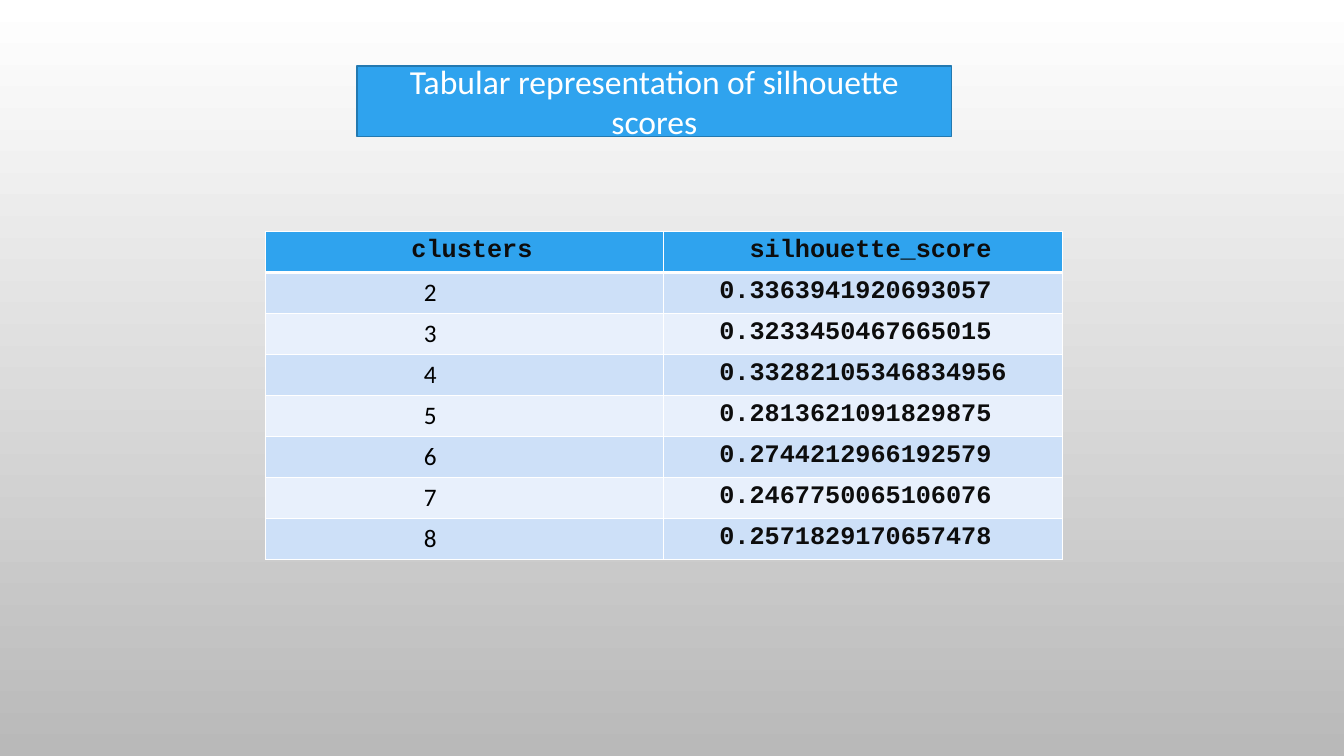
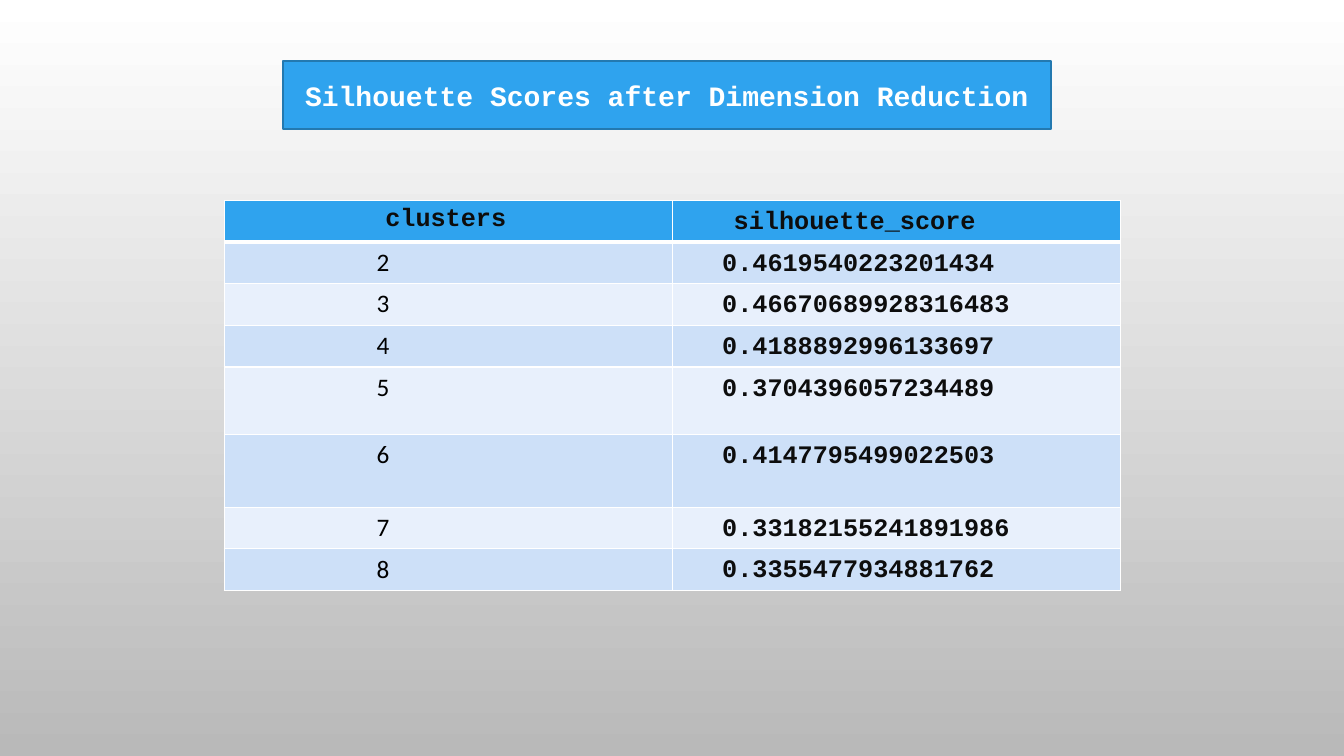
from dataclasses import dataclass

from lxml import etree
from pptx import Presentation
from pptx.dml.color import RGBColor
from pptx.enum.text import MSO_ANCHOR, MSO_AUTO_SIZE, PP_ALIGN
from pptx.oxml.ns import qn
from pptx.util import Cm, Pt

MIDDLE = MSO_ANCHOR.MIDDLE
NO_AUTOFIT = MSO_AUTO_SIZE.NONE
CENTER = PP_ALIGN.CENTER

# Shared colours and fonts
WHITE = RGBColor(0xFF, 0xFF, 0xFF)
BLACK = RGBColor(0x00, 0x00, 0x00)
INK = RGBColor(0x0D, 0x0D, 0x0D)
GREY = RGBColor(0xB9, 0xB9, 0xB9)
BLUE = RGBColor(0x2F, 0xA3, 0xEE)
DARK_BLUE = RGBColor(0x23, 0x79, 0xB0)
BANDS = (RGBColor(0xCD, 0xE0, 0xF8), RGBColor(0xE8, 0xF0, 0xFC))
SANS = "Calibri"
MONO = "Courier New"

TITLE_ONLY = 5
HEADERS = ("clusters", "silhouette_score")
FIRST_CLUSTER_COUNT = 2
TEXT_SIZE = 18
THIN, THICK = 1, 3


@dataclass
class TableLayout:
    """Table geometry in centimetres; indents are (clusters, score) pairs."""
    left: float
    top: float
    column_width: float
    row_heights: list
    header_indents: tuple
    body_indents: tuple
    score_top_margin: float


def format_run(run, font_name, size, color, bold=False):
    run.font.name = font_name
    run.font.size = Pt(size)
    run.font.color.rgb = color
    run.font.bold = bold


def set_background(master):
    fill = master.background.fill
    fill.gradient()
    fill.gradient_angle = 270
    for stop, position, color in zip(fill.gradient_stops, (0, 1), (WHITE, GREY)):
        stop.position = position
        stop.color.rgb = color


def set_title(slide, text, box, font_name, size, bold):
    """Turn the title placeholder into a rounded blue banner."""
    title = slide.shapes.title
    title.left, title.top, title.width, title.height = (Cm(value) for value in box)
    geometry = etree.SubElement(title.element.spPr, qn("a:prstGeom"), prst="roundRect")
    etree.SubElement(geometry, qn("a:avLst"))
    title.fill.solid()
    title.fill.fore_color.rgb = BLUE
    title.line.color.rgb = DARK_BLUE
    title.line.width = Pt(1.25)

    text_frame = title.text_frame
    text_frame.text = text
    text_frame.word_wrap = True
    text_frame.auto_size = NO_AUTOFIT
    text_frame.vertical_anchor = MIDDLE
    paragraph = text_frame.paragraphs[0]
    paragraph.alignment = CENTER
    format_run(paragraph.runs[0], font_name, size, WHITE, bold)


def set_borders(cell, top, bottom):
    properties = cell._tc.get_or_add_tcPr()
    for side, width in (("L", THIN), ("R", THIN), ("T", top), ("B", bottom)):
        line = etree.SubElement(properties, qn(f"a:ln{side}"), w=str(Pt(width)))
        fill = etree.SubElement(line, qn("a:solidFill"))
        etree.SubElement(fill, qn("a:srgbClr"), val=str(WHITE))


def fill_cell(cell, text, color, indent, top_margin):
    cell.fill.solid()
    cell.fill.fore_color.rgb = color
    cell.margin_left = Cm(indent)
    cell.margin_top = Cm(top_margin)
    cell.text_frame.text = text


def add_score_table(slide, scores, layout):
    rows = [HEADERS]
    rows += [(str(count), score) for count, score in enumerate(scores, FIRST_CLUSTER_COUNT)]
    frame = slide.shapes.add_table(
        len(rows), len(HEADERS), Cm(layout.left), Cm(layout.top),
        Cm(layout.column_width * len(HEADERS)), Cm(sum(layout.row_heights)))
    table = frame.table
    for column in table.columns:
        column.width = Cm(layout.column_width)
    top_margins = (0.13, layout.score_top_margin)

    for row_index, values in enumerate(rows):
        table.rows[row_index].height = Cm(layout.row_heights[row_index])
        is_header = row_index == 0
        color = BLUE if is_header else BANDS[(row_index - 1) % 2]
        indents = layout.header_indents if is_header else layout.body_indents
        for column_index, text in enumerate(values):
            cell = table.cell(row_index, column_index)
            set_borders(cell, THICK if row_index == 1 else THIN,
                        THICK if is_header else THIN)
            fill_cell(cell, text, color, indents[column_index], top_margins[column_index])
            run = cell.text_frame.paragraphs[0].runs[0]
            if is_header or column_index == 1:
                format_run(run, MONO, TEXT_SIZE, INK, bold=True)
            else:
                format_run(run, SANS, TEXT_SIZE, BLACK)


def main():
    presentation = Presentation()
    presentation.slide_width = Cm(33.87)
    presentation.slide_height = Cm(19.05)
    set_background(presentation.slide_master)
    title_only = presentation.slide_layouts[TITLE_ONLY]

    # Scores on all features
    slide = presentation.slides.add_slide(title_only)
    set_title(slide, "Tabular representation of silhouette scores",
              (9, 1.66, 14.98, 1.78), SANS, 24, False)
    add_score_table(
        slide,
        ("0.3363941920693057", "0.3233450467665015", "0.33282105346834956",
         "0.2813621091829875", "0.2744212966192579", "0.2467750065106076",
         "0.2571829170657478"),
        TableLayout(6.69, 5.84, 10.04, [1.03] * 8, (3.68, 2.16), (3.99, 1.4), 0.13))

    # Scores on reduced features
    slide = presentation.slides.add_slide(title_only)
    set_title(slide, "Silhouette Scores after Dimension Reduction",
              (7.13, 1.54, 19.36, 1.71), MONO, 20, True)
    add_score_table(
        slide,
        ("0.4619540223201434", "0.46670689928316483", "0.4188892996133697",
         "0.3704396057234489", "0.4147795499022503", "0.33182155241891986",
         "0.3355477934881762"),
        TableLayout(5.65, 5.05, 11.29, [1.05] * 4 + [1.7, 1.83] + [1.05] * 2,
                    (4.06, 1.55), (3.84, 1.26), 0.2))

    presentation.save("out.pptx")


if __name__ == "__main__":
    main()
